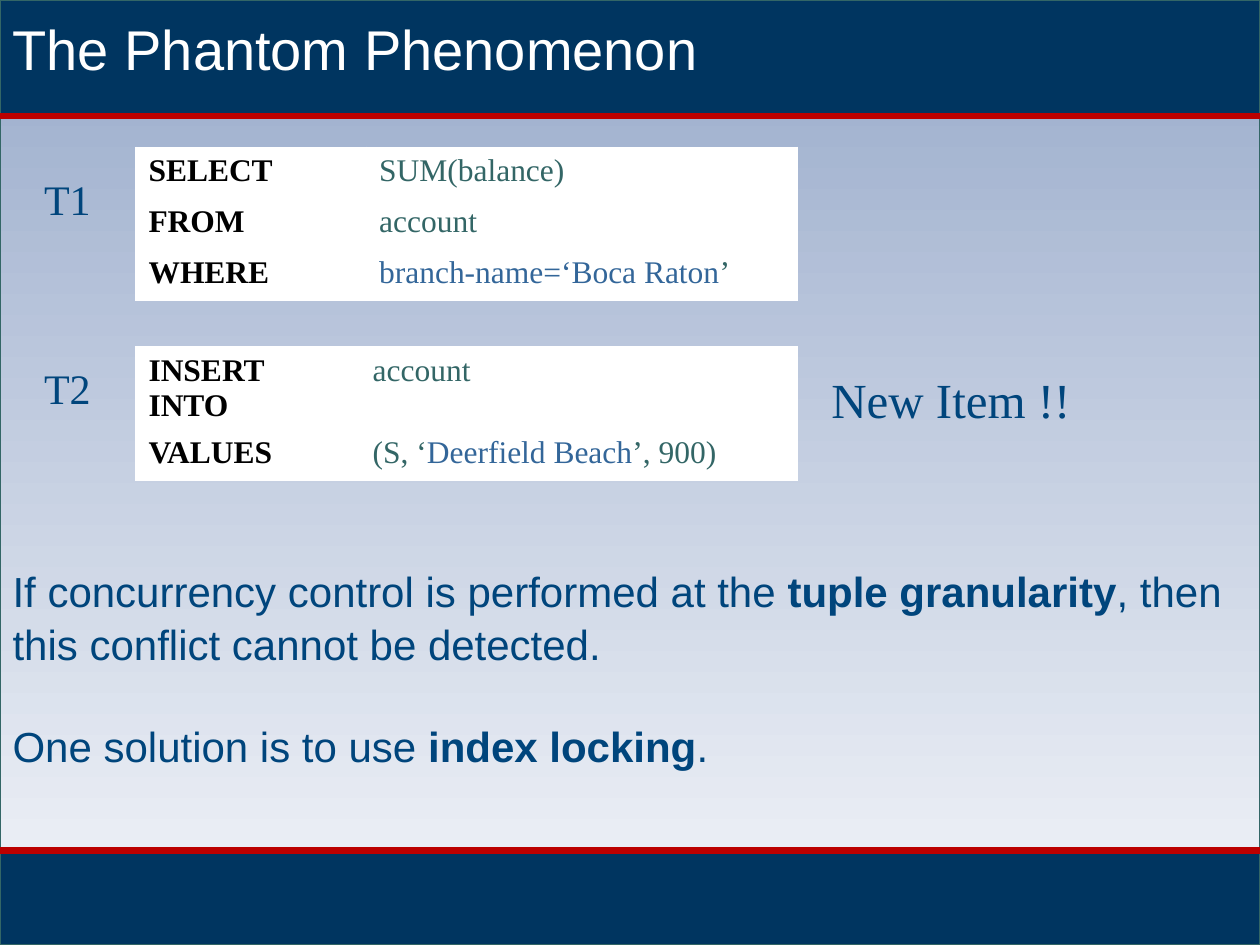
"""Build the slide on the phantom phenomenon in concurrency control."""
from dataclasses import dataclass
from typing import Any, NamedTuple

from lxml.etree import SubElement
from pptx import Presentation
from pptx.dml.color import RGBColor
from pptx.enum.shapes import MSO_CONNECTOR, MSO_SHAPE
from pptx.enum.text import MSO_ANCHOR, MSO_AUTO_SIZE, PP_ALIGN
from pptx.oxml.ns import qn
from pptx.util import Cm, Pt


@dataclass(frozen=True)
class Theme:
    sans: str = "Arial"
    serif: str = "Times New Roman"
    white: str = "FFFFFF"
    black: str = "000000"
    navy: str = "003560"
    red: str = "BC0000"
    teal: str = "336666"
    literal: str = "336699"
    prose: str = "00457C"
    sky_top: str = "99ABCB"
    sky_bottom: str = "F3F5F9"
    title_size: int = 32
    callout_size: int = 28
    body_size: int = 24
    query_size: int = 18


THEME = Theme()
SLIDE_WIDTH, SLIDE_HEIGHT = 25.4, 19.05
HEADER_BOTTOM, FOOTER_TOP = 2.34, 17.15
ROW_HEIGHT = 1.03


class Box(NamedTuple):
    left: float
    top: float
    width: float
    height: float


class Span(NamedTuple):
    text: str
    color: str
    bold: bool = False


class Query(NamedTuple):
    top: float
    columns: tuple[float, float]
    clauses: list[tuple[str, list[Span]]]


class Label(NamedTuple):
    text: str
    box: Box
    size: int


QUERIES = [
    Query(2.97, (4.65, 8.69), [
        ("SELECT", [Span("SUM(balance)", THEME.teal)]),
        ("FROM", [Span("account", THEME.teal)]),
        ("WHERE", [Span("branch-name=‘Boca Raton", THEME.literal), Span("’", THEME.teal)]),
    ]),
    Query(6.99, (4.52, 8.81), [
        ("INSERT INTO", [Span("account", THEME.teal)]),
        ("VALUES", [Span("(S, ‘", THEME.teal), Span("Deerfield Beach", THEME.literal),
                    Span("’, 900)", THEME.teal)]),
    ]),
]
EXPLANATION = [
    [Span("If concurrency control is performed at the ", THEME.prose),
     Span("tuple granularity", THEME.prose, True),
     Span(", then this conflict cannot be detected.", THEME.prose)],
    [Span("One solution is to use ", THEME.prose), Span("index locking", THEME.prose, True),
     Span(".", THEME.prose)],
]
LABELS = [
    Label("T1", Box(0.64, 3.38, 1.5, 1.27), THEME.body_size),
    Label("T2", Box(0.64, 7.19, 1.5, 1.27), THEME.body_size),
    Label("New Item !!", Box(16.51, 7.32, 5.56, 1.45), THEME.callout_size),
]


def apply(target: Any, values: dict[str, Any]) -> None:
    """Set each named attribute on the target."""
    for name, value in values.items():
        setattr(target, name, value)


def lengths(box: Box) -> dict[str, Cm]:
    """Convert a box in centimetres to shape attributes."""
    return {name: Cm(value) for name, value in box._asdict().items()}


def write(paragraph: Any, spans: list[Span], face: str, size: int) -> None:
    """Add the spans to a paragraph as formatted runs."""
    for span in spans:
        run = paragraph.add_run()
        run.text = span.text
        apply(run.font, {"name": face, "size": Pt(size), "bold": span.bold})
        run.font.color.rgb = RGBColor.from_string(span.color)


def draw_panel(slide: Any, box: Box, colors: list[str]) -> None:
    """Draw a background rectangle with one colour or a downward gradient."""
    panel = slide.shapes.add_shape(MSO_SHAPE.RECTANGLE, **lengths(box))
    panel.shadow.inherit = False
    if len(colors) == 1:
        panel.fill.solid()
        panel.fill.fore_color.rgb = RGBColor.from_string(colors[0])
    else:
        panel.fill.gradient()
        panel.fill.gradient_angle = 270
        for stop, position, color in zip(panel.fill.gradient_stops, (0, 1), colors):
            apply(stop, {"position": position})
            stop.color.rgb = RGBColor.from_string(color)
    panel.line.color.rgb = RGBColor.from_string(THEME.teal)
    panel.line.width = Pt(0.75)


def draw_rule(slide: Any, y: float) -> None:
    """Draw a red rule across the slide."""
    rule = slide.shapes.add_connector(
        MSO_CONNECTOR.STRAIGHT, Cm(0), Cm(y), Cm(SLIDE_WIDTH), Cm(y))
    rule.line.color.rgb = RGBColor.from_string(THEME.red)
    rule.line.width = Pt(3.75)
    SubElement(rule._element.spPr, qn("a:effectLst"))


def draw_query(slide: Any, query: Query) -> None:
    """Draw an SQL statement as a table of keywords and arguments."""
    box = Box(2.74, query.top, sum(query.columns), ROW_HEIGHT * len(query.clauses))
    table = slide.shapes.add_table(len(query.clauses), 2, **lengths(box)).table
    for column, width in zip(table.columns, query.columns):
        column.width = Cm(width)
    for row, (keyword, argument) in zip(table.rows, query.clauses):
        for cell, spans in zip(row.cells, ([Span(keyword, THEME.black, True)], argument)):
            cell.fill.solid()
            cell.fill.fore_color.rgb = RGBColor.from_string(THEME.white)
            write(cell.text_frame.paragraphs[0], spans, THEME.serif, THEME.query_size)


def place(slide: Any, placeholder: Any, box: Box, frame_format: dict[str, Any]) -> Any:
    """Move a placeholder in front of the background and return its text frame."""
    slide.shapes._spTree.append(placeholder._element)
    apply(placeholder, lengths(box))
    apply(placeholder.text_frame, {
        "auto_size": MSO_AUTO_SIZE.NONE, "word_wrap": True,
        "vertical_anchor": MSO_ANCHOR.TOP, **frame_format})
    return placeholder.text_frame


def draw_title(slide: Any) -> None:
    """Write the slide title in the header band."""
    frame = place(slide, slide.shapes.title, Box(0, 0.05, SLIDE_WIDTH, 1.45),
                  {"margin_top": Cm(0.25), "margin_bottom": Cm(0)})
    heading = frame.paragraphs[0]
    heading.alignment = PP_ALIGN.LEFT
    write(heading, [Span("The Phantom Phenomenon", THEME.white)], THEME.sans, THEME.title_size)


def draw_explanation(slide: Any) -> None:
    """Write the explanation as unbulleted paragraphs."""
    frame = place(slide, slide.placeholders[1], Box(0, 11.23, SLIDE_WIDTH, 4.37), {})
    for index, spans in enumerate(EXPLANATION):
        paragraph = frame.add_paragraph() if index else frame.paragraphs[0]
        apply(paragraph, {"line_spacing": 1.05, "space_before": Pt(28 * index),
                          "alignment": PP_ALIGN.LEFT})
        properties = paragraph._p.get_or_add_pPr()
        for name in ("marL", "indent"):
            properties.set(name, "0")
        SubElement(properties, qn("a:buNone"))
        write(paragraph, spans, THEME.sans, THEME.body_size)


def draw_label(slide: Any, label: Label) -> None:
    """Write a label beside a query."""
    frame = slide.shapes.add_textbox(**lengths(label.box)).text_frame
    apply(frame, {"word_wrap": False, "auto_size": MSO_AUTO_SIZE.SHAPE_TO_FIT_TEXT})
    write(frame.paragraphs[0], [Span(label.text, THEME.prose)], THEME.serif, label.size)


def main() -> None:
    """Build and save the presentation."""
    deck = Presentation()
    apply(deck, {"slide_width": Cm(SLIDE_WIDTH), "slide_height": Cm(SLIDE_HEIGHT)})
    slide = deck.slides.add_slide(deck.slide_layouts[1])
    draw_panel(slide, Box(0, 0, SLIDE_WIDTH, SLIDE_HEIGHT), [THEME.sky_top, THEME.sky_bottom])
    draw_panel(slide, Box(0, FOOTER_TOP, SLIDE_WIDTH, SLIDE_HEIGHT - FOOTER_TOP), [THEME.navy])
    draw_panel(slide, Box(0, 0, SLIDE_WIDTH, HEADER_BOTTOM), [THEME.navy])
    for y in (HEADER_BOTTOM, FOOTER_TOP):
        draw_rule(slide, y)
    draw_title(slide)
    for query in QUERIES:
        draw_query(slide, query)
    draw_explanation(slide)
    for label in LABELS:
        draw_label(slide, label)
    deck.save("out.pptx")


if __name__ == "__main__":
    main()
